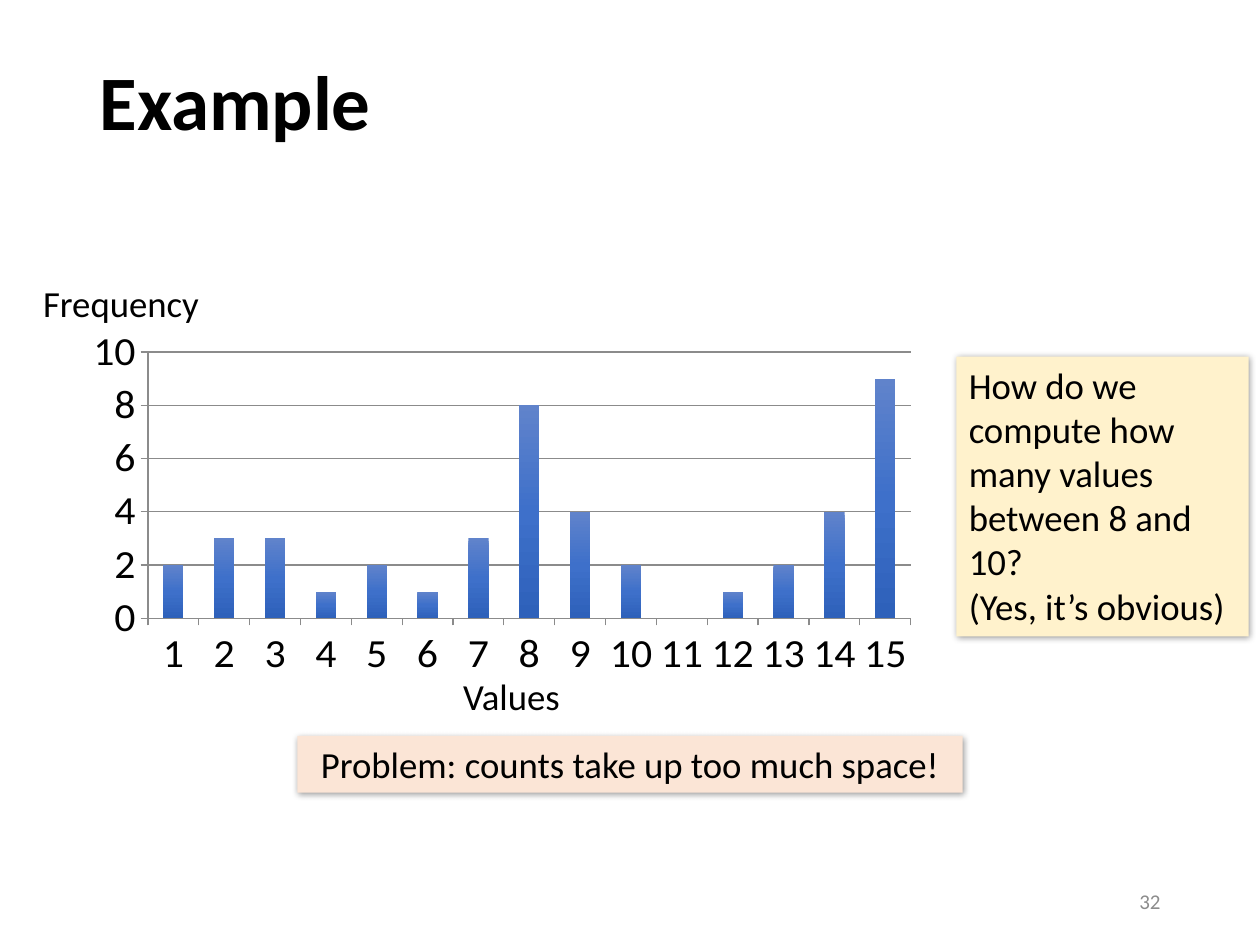
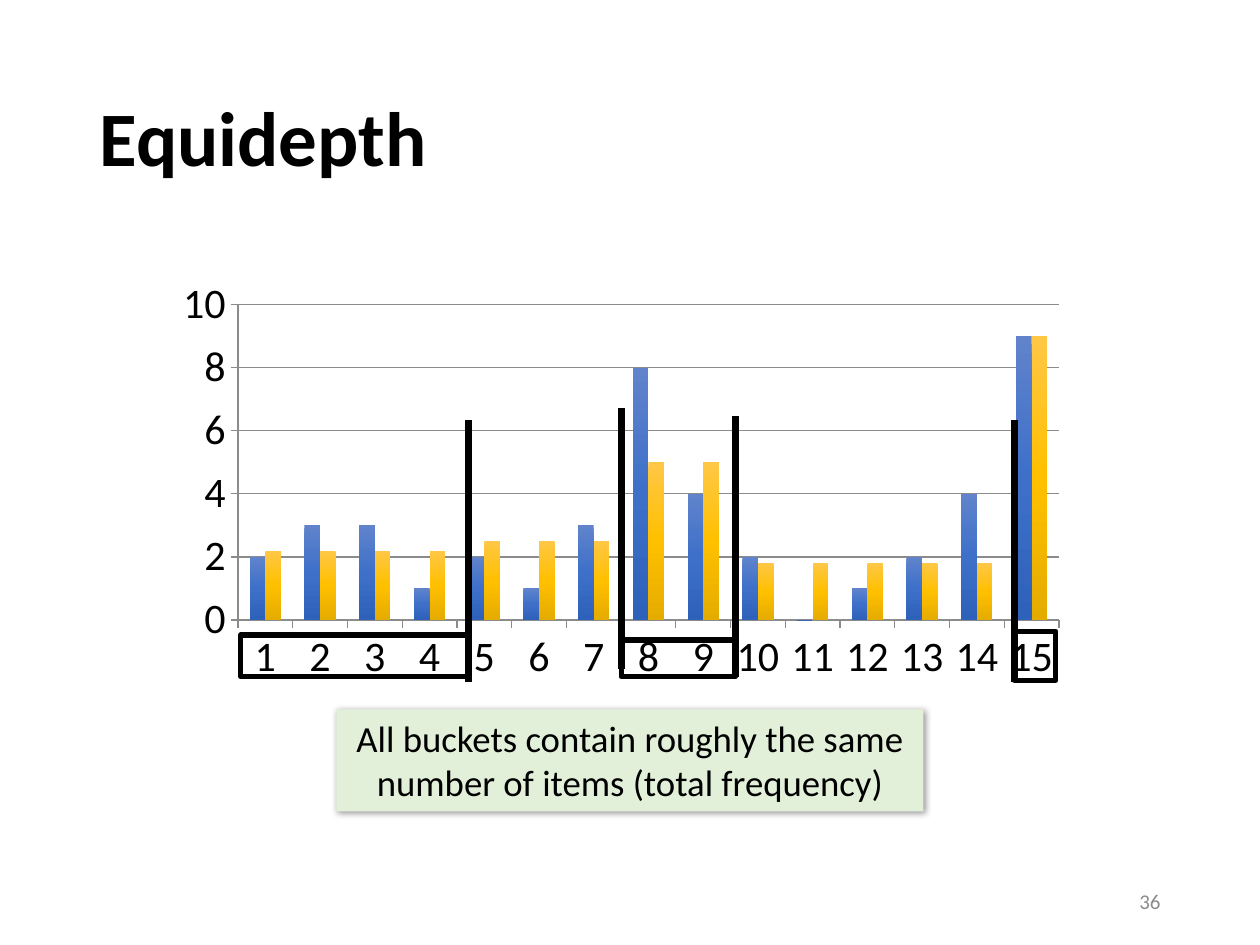
from copy import deepcopy

from lxml.etree import SubElement
from pptx import Presentation
from pptx.chart.data import CategoryChartData
from pptx.dml.color import RGBColor
from pptx.enum.chart import XL_CHART_TYPE, XL_TICK_MARK
from pptx.enum.shapes import MSO_CONNECTOR, MSO_SHAPE
from pptx.enum.text import MSO_ANCHOR, MSO_AUTO_SIZE, PP_ALIGN
from pptx.oxml.ns import qn
from pptx.util import Inches, Pt

FONT = "Calibri"
BLACK = RGBColor(0x00, 0x00, 0x00)
NUMBER_GRAY = RGBColor(0x8C, 0x8C, 0x8C)
AXIS_GRAY = RGBColor(0x8B, 0x8B, 0x8B)
CREAM = RGBColor(0xFF, 0xF2, 0xCC)
PEACH = RGBColor(0xFB, 0xE5, 0xD6)
MINT = RGBColor(0xE2, 0xF0, 0xD9)
# Bar gradients, from top to bottom
BLUE_BARS = (RGBColor(0x60, 0x83, 0xCB), RGBColor(0x3E, 0x70, 0xCA), RGBColor(0x2E, 0x61, 0xBA))
GOLD_BARS = (RGBColor(0xFF, 0xC7, 0x46), RGBColor(0xFF, 0xC0, 0x00), RGBColor(0xE5, 0xAC, 0x00))

FREQUENCIES = [2, 3, 3, 1, 2, 1, 3, 8, 4, 2, 0, 1, 2, 4, 9]
BUCKET_AVERAGES = [2.2] * 4 + [2.5] * 3 + [5] * 2 + [1.8] * 5 + [9]


class Deck:
    """Holds the style and the current slide."""

    def __init__(self):
        self.presentation = Presentation()
        self.presentation.slide_width = Inches(10)
        self.presentation.slide_height = Inches(7.5)
        self.slide = None

    def new_slide(self, title, title_top, title_height, number):
        layout = self.presentation.slide_layouts[5]
        self.slide = self.presentation.slides.add_slide(layout)
        shape = self.slide.shapes.title
        shape.left, shape.top = Inches(0.69), Inches(title_top)
        shape.width, shape.height = Inches(8.62), Inches(title_height)
        self.fill_text(shape, [title], size=44, bold=True, anchor=MSO_ANCHOR.MIDDLE, spacing=0.9)
        self.label(number, 7.06, 6.95, 2.25, 0.4, size=12, color=NUMBER_GRAY,
                   align=PP_ALIGN.RIGHT, anchor=MSO_ANCHOR.MIDDLE)

    def fill_text(self, shape, lines, size=21, color=BLACK, bold=False, align=PP_ALIGN.LEFT,
                  anchor=MSO_ANCHOR.TOP, spacing=None):
        frame = shape.text_frame
        frame.word_wrap = True
        frame.auto_size = MSO_AUTO_SIZE.NONE
        frame.vertical_anchor = anchor
        for index, line in enumerate(lines):
            paragraph = frame.add_paragraph() if index else frame.paragraphs[0]
            paragraph.alignment = align
            paragraph.line_spacing = spacing
            run = paragraph.add_run()
            run.text = line
            run.font.name, run.font.size, run.font.bold = FONT, Pt(size), bold
            run.font.color.rgb = color

    def label(self, text, left, top, width, height, align=PP_ALIGN.CENTER, **style):
        shape = self.slide.shapes.add_textbox(
            Inches(left), Inches(top), Inches(width), Inches(height))
        self.fill_text(shape, [text], align=align, **style)

    def rectangle(self, left, top, width, height):
        shape = self.slide.shapes.add_shape(
            MSO_SHAPE.RECTANGLE, Inches(left), Inches(top), Inches(width), Inches(height))
        shape.shadow.inherit = False
        return shape

    def callout(self, lines, left, top, width, height, fill, align=PP_ALIGN.CENTER):
        shape = self.rectangle(left, top, width, height)
        shape.fill.solid()
        shape.fill.fore_color.rgb = fill
        shape.line.fill.background()
        self.fill_text(shape, lines, align=align)
        # Soft shadow towards the lower right
        effects = shape.element.spPr.find(qn("a:effectLst"))
        shadow = SubElement(effects, qn("a:outerShdw"), blurRad=str(Pt(4)), dist=str(Pt(1)),
                            dir="2700000", algn="tl", rotWithShape="0")
        shadow_color = SubElement(shadow, qn("a:srgbClr"), val=str(BLACK))
        SubElement(shadow_color, qn("a:alpha"), val="40000")

    def bucket(self, left, top, width, height):
        shape = self.rectangle(left, top, width, height)
        shape.fill.background()
        shape.line.color.rgb = BLACK
        shape.line.width = Pt(3)

    def boundary(self, x, bottom, top):
        connector = self.slide.shapes.add_connector(
            MSO_CONNECTOR.STRAIGHT, Inches(x), Inches(bottom), Inches(x), Inches(top))
        connector.line.color.rgb = BLACK
        connector.line.width = Pt(4)
        SubElement(connector.element.spPr, qn("a:effectLst"))

    def histogram(self, left, top, width, height, series, plot_box):
        data = CategoryChartData()
        data.categories = [str(value) for value in range(1, 16)]
        for index, (values, _) in enumerate(series, start=1):
            data.add_series(f"Series {index}", values)
        chart = self.slide.shapes.add_chart(
            XL_CHART_TYPE.COLUMN_CLUSTERED, Inches(left), Inches(top),
            Inches(width), Inches(height), data).chart
        chart.has_legend = chart.has_title = False
        chart.font.name, chart.font.size = FONT, Pt(24)
        chart.font.color.rgb = BLACK
        plot = chart.plots[0]
        plot.gap_width, plot.overlap = 150, 0
        plot.vary_by_categories = False
        for bars, (_, colors) in zip(plot.series, series):
            self.shade(bars, colors)
        self.style_axes(chart)
        self.place_plot(chart, plot_box)

    def shade(self, bars, colors):
        fill = bars.format.fill
        fill.gradient()
        fill.gradient_angle = 270
        stop_list = bars._element.find(".//" + qn("a:gsLst"))
        stop_list.insert(1, deepcopy(stop_list[0]))
        for stop, color, position in zip(fill.gradient_stops, colors, (0, 0.5, 1)):
            stop.color.rgb = color
            stop.position = position

    def style_axes(self, chart):
        for axis in (chart.category_axis, chart.value_axis):
            axis.major_tick_mark = XL_TICK_MARK.OUTSIDE
            axis.minor_tick_mark = XL_TICK_MARK.NONE
            axis.tick_labels.font.size = Pt(24)
            axis.format.line.color.rgb = AXIS_GRAY
        value_axis = chart.value_axis
        value_axis.minimum_scale, value_axis.maximum_scale = 0, 10
        value_axis.major_unit = 2
        value_axis.has_major_gridlines = True
        value_axis.major_gridlines.format.line.color.rgb = AXIS_GRAY

    def place_plot(self, chart, plot_box):
        plot_area = chart._chartSpace.find(".//" + qn("c:plotArea"))
        layout = plot_area.find(qn("c:layout"))
        if layout is None:
            layout = SubElement(plot_area, qn("c:layout"))
            plot_area.insert(0, layout)
        manual = SubElement(layout, qn("c:manualLayout"))
        settings = [("layoutTarget", "inner"), ("xMode", "edge"), ("yMode", "edge")]
        settings += zip("xywh", plot_box)
        for name, value in settings:
            SubElement(manual, qn(f"c:{name}"), val=str(value))


def add_example(deck):
    deck.new_slide("Example", 0.29, 1.09, "32")
    deck.histogram(0.74, 2.6, 6.62, 2.85, [(FREQUENCIES, BLUE_BARS)], (0.06, 0.02, 0.92, 0.78))
    # Axis captions
    deck.label("Values", 2.61, 5.3, 2.9, 0.45)
    deck.label("Frequency", 0, 2.18, 1.92, 0.45)
    # Question and problem
    deck.callout(["How do we compute how many values between 8 and 10?", "(Yes, it’s obvious)"],
                 7.59, 2.83, 2.32, 2.22, CREAM, PP_ALIGN.LEFT)
    deck.callout(["Problem: counts take up too much space!"], 2.36, 5.84, 5.28, 0.45, PEACH)


def add_equidepth(deck):
    deck.new_slide("Equidepth", 0.4, 1.45, "36")
    deck.histogram(1.31, 2.15, 7.24, 3.34,
                   [(FREQUENCIES, BLUE_BARS), (BUCKET_AVERAGES, GOLD_BARS)],
                   (0.08, 0.08, 0.9, 0.75))
    # Buckets around the values and the lines between them
    for box in ((1.91, 5.04, 1.8, 0.33), (4.93, 5.08, 0.91, 0.29), (8.05, 5.01, 0.33, 0.39)):
        deck.bucket(*box)
    for line in ((3.72, 5.41, 3.33), (4.93, 5.31, 3.24), (5.84, 5.37, 3.3), (8.05, 5.41, 3.33)):
        deck.boundary(*line)
    deck.callout(["All buckets contain roughly the same number of items (total frequency)"],
                 2.67, 5.63, 4.66, 0.81, MINT)


def main():
    deck = Deck()
    add_example(deck)
    add_equidepth(deck)
    deck.presentation.save("out.pptx")


if __name__ == "__main__":
    main()
